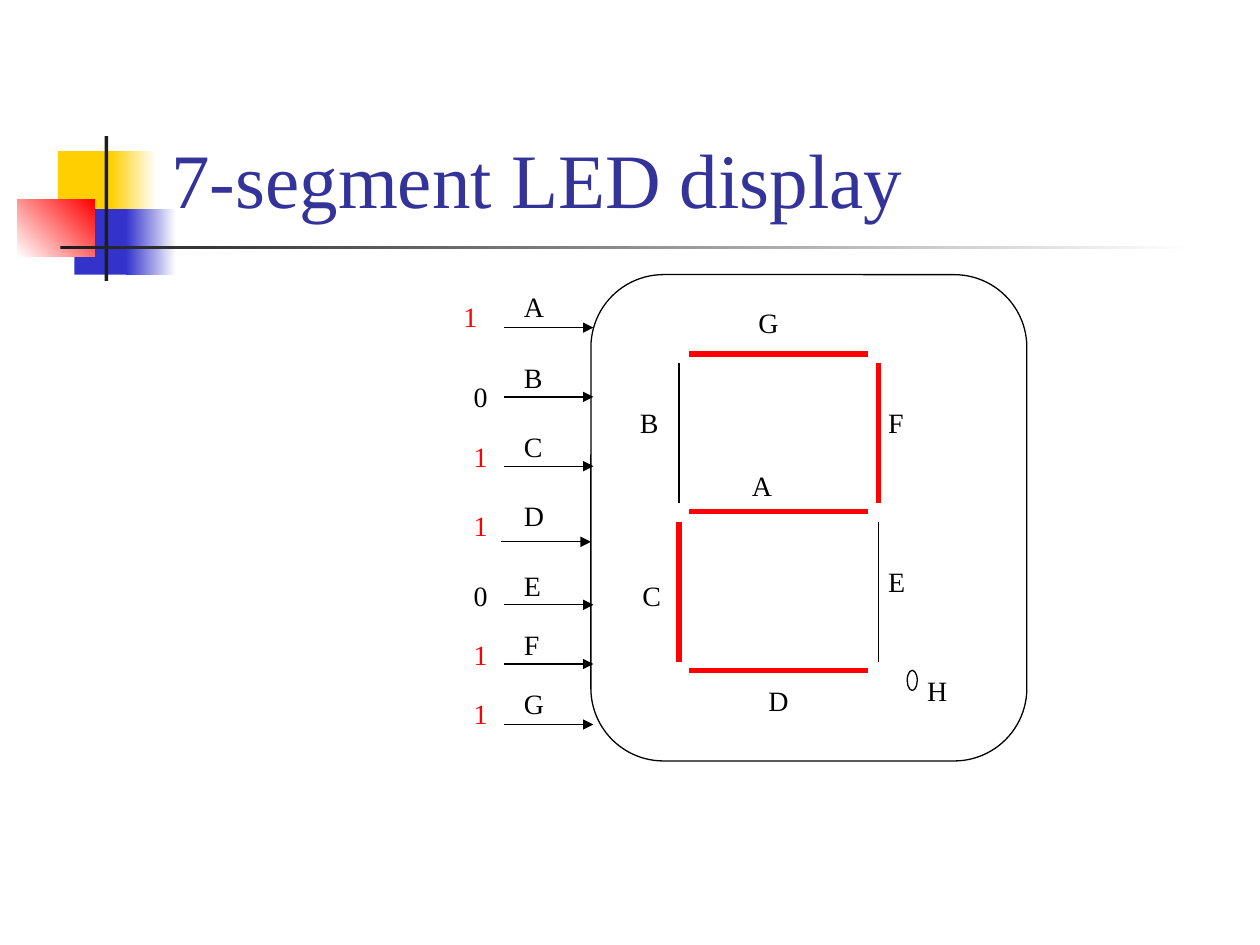
from lxml.etree import SubElement
from pptx import Presentation
from pptx.dml.color import RGBColor
from pptx.enum.shapes import MSO_CONNECTOR as Connector, MSO_SHAPE as Shape
from pptx.enum.text import MSO_ANCHOR as Anchor, MSO_AUTO_SIZE as AutoSize, PP_ALIGN as Align
from pptx.oxml.ns import qn
from pptx.util import Pt

PX = 9144
FONT = "Times New Roman"
BLACK = RGBColor(0x00, 0x00, 0x00)
WHITE = RGBColor(0xFF, 0xFF, 0xFF)
RED = RGBColor(0xFF, 0x00, 0x00)
YELLOW = RGBColor(0xFF, 0xCF, 0x01)
BLUE = RGBColor(0x33, 0x33, 0xCC)
CHARCOAL = RGBColor(0x1C, 0x1C, 0x1C)
NAVY = RGBColor(0x33, 0x33, 0x99)

presentation = Presentation()
presentation.slide_width = 1000 * PX
presentation.slide_height = 750 * PX
slide = presentation.slides.add_slide(presentation.slide_layouts[5])
shapes = slide.shapes


def add_line(x1, y1, x2, y2, color, width, arrow=False):
    connector = shapes.add_connector(Connector.STRAIGHT, x1 * PX, y1 * PX, x2 * PX, y2 * PX)
    connector.line.color.rgb = color
    connector.line.width = Pt(width)
    if arrow:
        SubElement(connector.line._get_or_add_ln(), qn("a:tailEnd"), type="triangle")
    SubElement(connector._element.spPr, qn("a:effectLst"))


def add_label(text, left, top, color=BLACK):
    width = {"B": 35, "C": 35, "E": 34, "F": 32, "0": 31, "1": 31}.get(text, 36)
    box = shapes.add_textbox(left * PX, top * PX, width * PX, 37 * PX)
    frame = box.text_frame
    frame.word_wrap = False
    frame.auto_size = AutoSize.SHAPE_TO_FIT_TEXT
    run = frame.paragraphs[0].add_run()
    run.text = text
    run.font.name = FONT
    run.font.size = Pt(16)
    run.font.color.rgb = color


decorations = [
    (46, 120, 48, 52, [YELLOW], 0),
    (88, 120, 36, 52, [YELLOW, WHITE], 0),
    (59, 166, 46, 52, [BLUE], 0),
    (100, 166, 40, 52, [BLUE, WHITE], 0),
    (14, 158, 61, 46, [WHITE, RED], 45),
    (83, 108, 3, 115, [CHARCOAL], 0),
    (48, 195, 900, 3, [CHARCOAL, WHITE], 0),
]
for left, top, width, height, colors, angle in decorations:
    block = shapes.add_shape(Shape.RECTANGLE, left * PX, top * PX, width * PX, height * PX)
    block.shadow.inherit = False
    block.line.fill.background()
    if len(colors) == 1:
        block.fill.solid()
        block.fill.fore_color.rgb = colors[0]
    else:
        block.fill.gradient()
        block.fill.gradient_angle = angle
        for stop, color in zip(block.fill.gradient_stops, colors):
            stop.color.rgb = color

title = shapes.title
title.left, title.top = 126 * PX, 23 * PX
title.width, title.height = 852 * PX, 160 * PX
title.text_frame.vertical_anchor = Anchor.BOTTOM
title.text_frame.auto_size = AutoSize.NONE
title_paragraph = title.text_frame.paragraphs[0]
title_paragraph.alignment = Align.LEFT
title_run = title_paragraph.add_run()
title_run.text = "7-segment LED display"
title_run.font.name = FONT
title_run.font.size = Pt(44)
title_run.font.color.rgb = NAVY

segments = [
    ("A", 547, 406, 689, 406, 587, 367, True),
    ("B", 539, 288, 539, 399, 498, 317, False),
    ("C", 539, 414, 539, 525, 500, 454, True),
    ("D", 547, 532, 689, 532, 600, 538, True),
    ("E", 697, 414, 697, 525, 695, 443, False),
    ("F", 697, 288, 697, 399, 695, 317, True),
    ("G", 547, 281, 689, 281, 592, 238, True),
]
for name, x1, y1, x2, y2, label_left, label_top, lit in segments:
    add_line(x1, y1, x2, y2, RED if lit else BLACK, 3 if lit else 0.75)
    add_label(name, label_left, label_top)
add_label("H", 726, 530)

outlines = [
    (Shape.OVAL, 720, 532, 8, 16),
    (Shape.ROUNDED_RECTANGLE, 469, 218, 346, 386),
]
for kind, left, top, width, height in outlines:
    outline = shapes.add_shape(kind, left * PX, top * PX, width * PX, height * PX)
    outline.shadow.inherit = False
    outline.fill.background()
    outline.line.color.rgb = BLACK
    outline.line.width = Pt(0.75)

inputs = [
    ("A", "1", 400, 260, 225, 358, 233),
    ("B", "0", 400, 315, 281, 366, 296),
    ("C", "1", 400, 370, 336, 366, 344),
    ("D", "1", 398, 430, 391, 366, 399),
    ("E", "0", 400, 480, 446, 366, 454),
    ("F", "1", 400, 527, 493, 366, 501),
    ("G", "1", 400, 575, 540, 366, 548),
]
for name, bit, arrow_left, arrow_y, name_top, bit_left, bit_top in inputs:
    add_line(arrow_left, arrow_y, arrow_left + 71, arrow_y, BLACK, 0.75, arrow=True)
    add_label(name, 406, name_top)
    add_label(bit, bit_left, bit_top, RED if bit == "1" else BLACK)

presentation.save("out.pptx")
